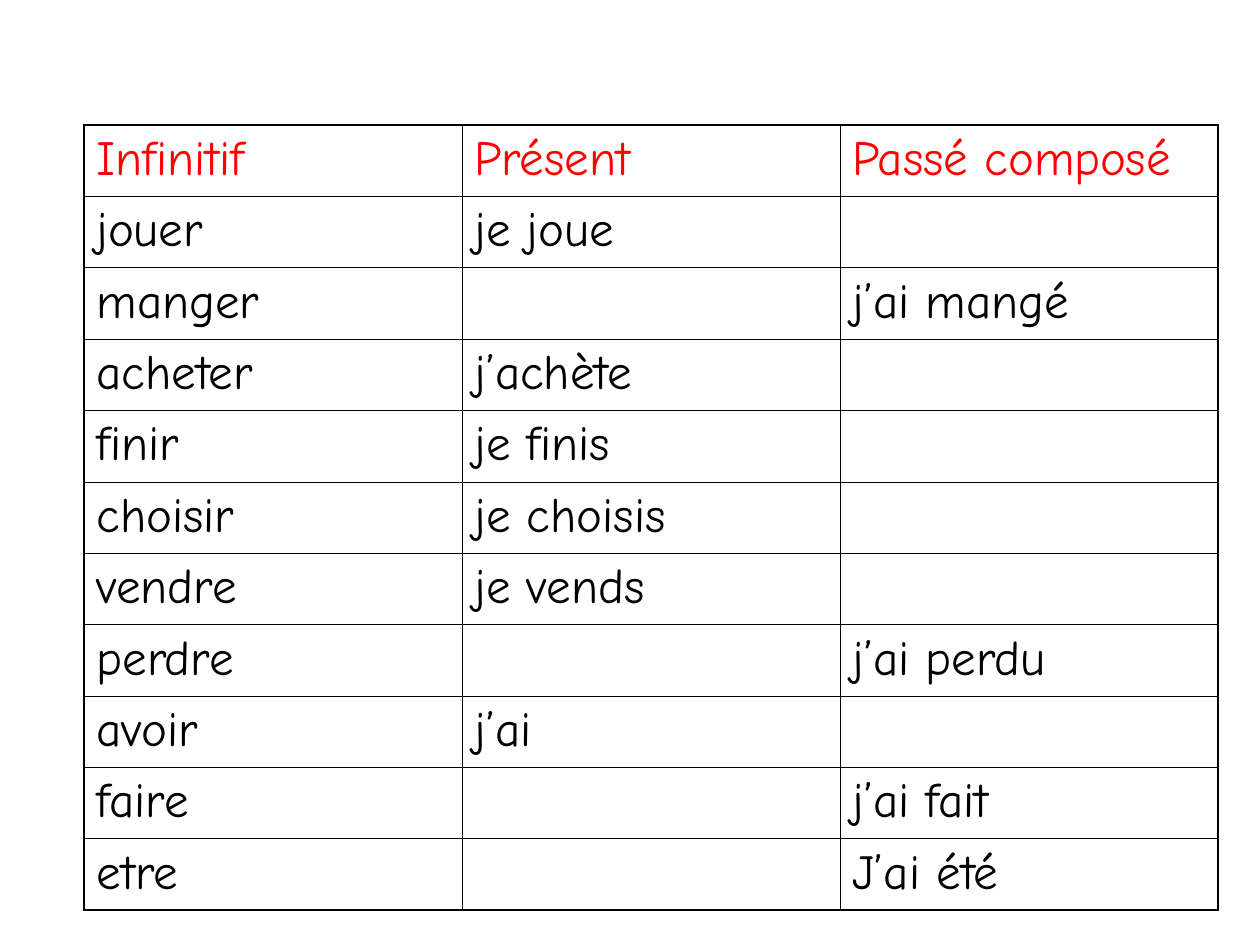
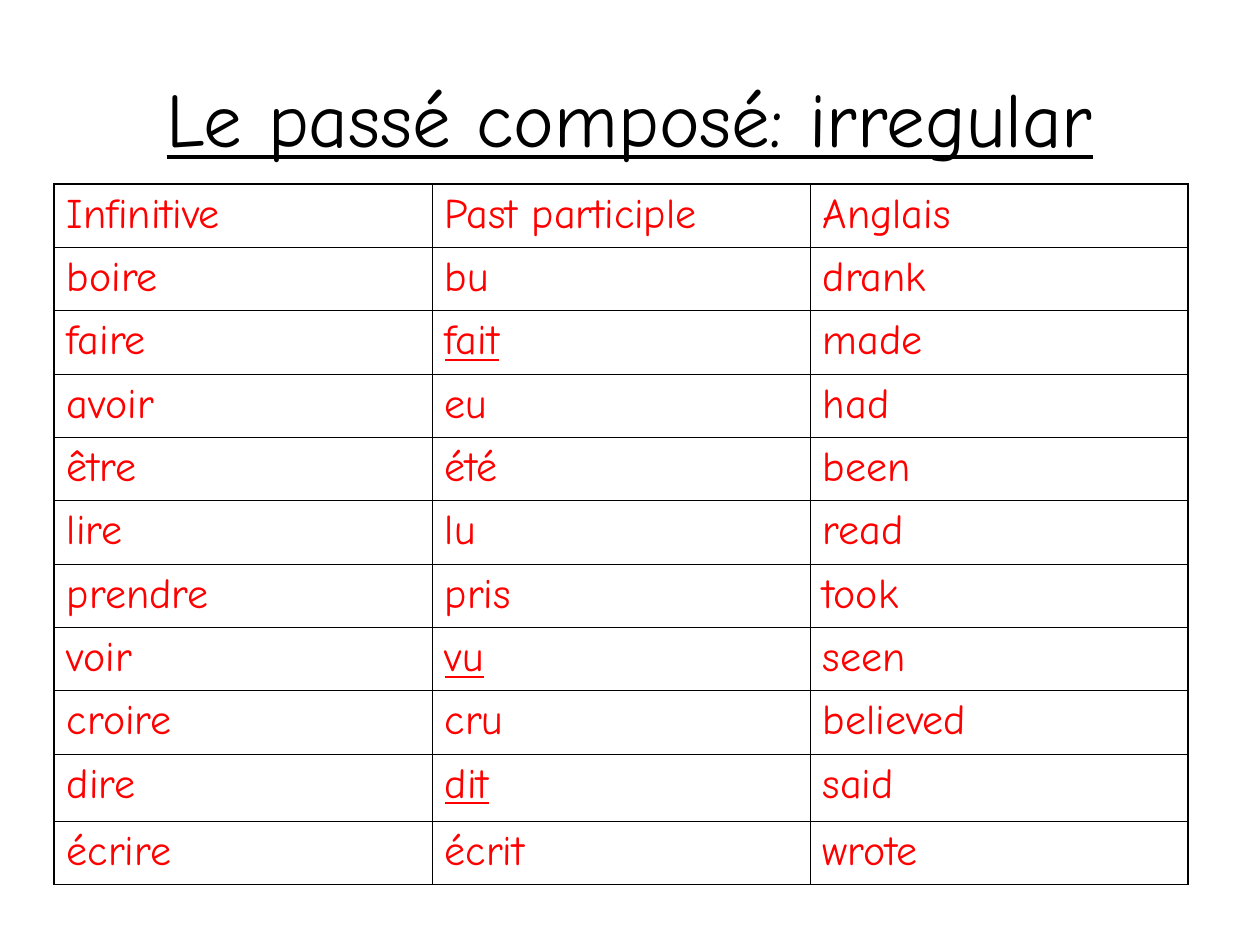
from lxml.etree import SubElement as add_element
from pptx import Presentation
from pptx.dml.color import RGBColor as Rgb
from pptx.enum.text import MSO_ANCHOR as Anchor, PP_ALIGN as Align
from pptx.oxml.ns import qn
from pptx.util import Pt

COLORS = {"ink": "000000", "accent": "FF0000", "paper": "FFFFFF"}
FONT = "Comic Neue"
COLUMN_WIDTH = 216
OUTER_LINE, INNER_LINE = 1.08, 0.45

# Verb lists, heading row first
TENSES = [
    ("Infinitif", "Présent", "Passé composé"),
    ("jouer", "je joue", ""),
    ("manger", "", "j’ai mangé"),
    ("acheter", "j’achète", ""),
    ("finir", "je finis", ""),
    ("choisir", "je choisis", ""),
    ("vendre", "je vends", ""),
    ("perdre", "", "j’ai perdu"),
    ("avoir", "j’ai", ""),
    ("faire", "", "j’ai fait"),
    ("etre", "", "J’ai été"),
]
PARTICIPLES = [
    ("Infinitive", "Past participle", "Anglais"),
    ("boire", "bu", "drank"),
    ("faire", "fait", "made"),
    ("avoir", "eu", "had"),
    ("être", "été", "been"),
    ("lire", "lu", "read"),
    ("prendre", "pris", "took"),
    ("voir", "vu", "seen"),
    ("croire", "cru", "believed"),
    ("dire", "dit", "said"),
    ("écrire", "écrit", "wrote"),
]
UNDERLINED = {"fait", "vu", "dit"}


def write(paragraph, wording, color, **font_format):
    """Add one run in the shared font."""
    run = paragraph.add_run()
    run.text = wording
    for name, value in {"name": FONT, **font_format}.items():
        setattr(run.font, name, value)
    run.font.color.rgb = Rgb.from_string(COLORS[color])


def add_title(slide, wording):
    title = slide.shapes.add_textbox(Pt(36), Pt(21.6), Pt(648), Pt(90))
    frame = title.text_frame
    for name, value in {"word_wrap": True, "vertical_anchor": Anchor.MIDDLE}.items():
        setattr(frame, name, value)
    heading = frame.paragraphs[0]
    heading.alignment = Align.CENTER
    write(heading, wording, "ink", size=Pt(44), underline=True)


def add_borders(cell, outer_sides):
    """Rule all four sides, heavier along the table's edge."""
    properties = cell._tc.get_or_add_tcPr()
    for side in "LRTB":
        width = OUTER_LINE if side in outer_sides else INNER_LINE
        line = add_element(properties, qn(f"a:ln{side}"), w=str(Pt(width)))
        fill = add_element(line, qn("a:solidFill"))
        add_element(fill, qn("a:srgbClr"), val=COLORS["ink"])


def add_verb_table(slide, verbs, left, top, row_height, size, body_color, tall_rows=None):
    row_count, column_count = len(verbs), len(verbs[0])
    table = slide.shapes.add_table(
        row_count, column_count, Pt(left), Pt(top),
        Pt(COLUMN_WIDTH * column_count), Pt(row_height * row_count)).table
    for name in ("first_row", "horz_banding"):
        setattr(table, name, False)
    for column in table.columns:
        column.width = Pt(COLUMN_WIDTH)
    for r, forms in enumerate(verbs):
        table.rows[r].height = Pt((tall_rows or {}).get(r, row_height))
        for c, form in enumerate(forms):
            cell = table.cell(r, c)
            edges = {"L": c == 0, "R": c == column_count - 1,
                     "T": r == 0, "B": r == row_count - 1}
            add_borders(cell, {side for side, outer in edges.items() if outer})
            cell.fill.solid()
            cell.fill.fore_color.rgb = Rgb.from_string(COLORS["paper"])
            if form:
                write(cell.text_frame.paragraphs[0], form,
                      body_color if r else "accent", size=Pt(size),
                      underline=True if c == 1 and form in UNDERLINED else None)


def main():
    deck = Presentation()
    deck.slide_width, deck.slide_height = Pt(720), Pt(540)
    blank = deck.slide_layouts[6]

    # Present and past forms to complete
    exercise = deck.slides.add_slide(blank)
    add_verb_table(exercise, TENSES, left=48, top=71.4, row_height=40.8,
                   size=28, body_color="ink")

    # Irregular past participles
    irregular = deck.slides.add_slide(blank)
    add_title(irregular, "Le passé composé: irregular")
    add_verb_table(irregular, PARTICIPLES, left=31, top=105.1, row_height=36.2,
                   size=24, body_color="accent", tall_rows={9: 38.3})

    deck.save("out.pptx")


if __name__ == "__main__":
    main()
